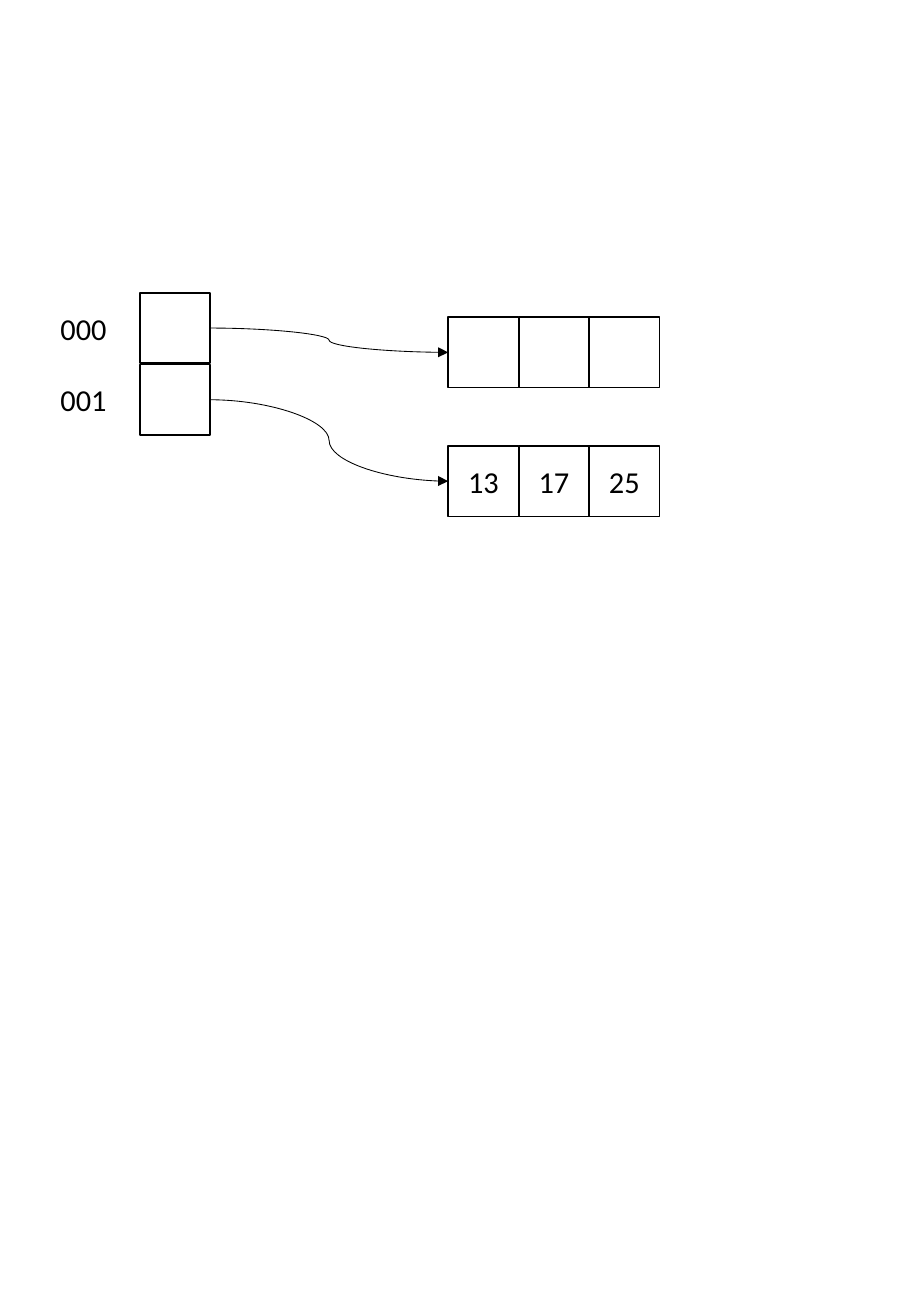
import pptx
import pptx.util
import pptx.dml.color
import pptx.enum.shapes
import pptx.enum.text
import pptx.oxml
import pptx.oxml.ns

DIRECTORY = [
    {"key": "000", "top": 241, "bucket_top": 261, "values": ["", "", ""]},
    {"key": "001", "top": 300, "bucket_top": 367, "values": ["13", "17", "25"]},
]
PAGE_W, PAGE_H = 750, 1083
CELL = 58
DIRECTORY_LEFT, BUCKET_LEFT = 115, 369
LABEL_LEFT, LABEL_W, LABEL_H = 40, 66, 40
BLACK = "000000"
FONT = {"name": "Calibri", "size": pptx.util.Pt(18)}
CENTER = pptx.enum.text.PP_ALIGN.CENTER
LABEL_FRAME = {"word_wrap": True,
               "auto_size": pptx.enum.text.MSO_AUTO_SIZE.SHAPE_TO_FIT_TEXT}
CELL_FRAME = {"word_wrap": True,
              "vertical_anchor": pptx.enum.text.MSO_ANCHOR.MIDDLE}


def px(n):
    return pptx.util.Emu(n * 9144)


def rgb(color):
    return pptx.dml.color.RGBColor.from_string(color)


def apply(target, values):
    for name, value in values.items():
        setattr(target, name, value)


def write(sp, text, frame, align=None):
    tf = sp.text_frame
    apply(tf, frame)
    p = tf.paragraphs[0]
    p.alignment = align
    r = p.add_run()
    r.text = text
    apply(r.font, FONT)
    r.font.color.rgb = rgb(BLACK)


def set_line(sp, width):
    sp.line.color.rgb = rgb(BLACK)
    sp.line.width = pptx.util.Pt(width)


def add_cell(s, left, top, text=""):
    sp = s.shapes.add_shape(pptx.enum.shapes.MSO_SHAPE.RECTANGLE,
                            px(left), px(top), px(CELL), px(CELL))
    sp.shadow.inherit = False
    sp.fill.background()
    set_line(sp, 1)
    if text:
        write(sp, text, CELL_FRAME, CENTER)
    return sp


def add_label(s, top, text):
    sp = s.shapes.add_textbox(px(LABEL_LEFT), px(top), px(LABEL_W), px(LABEL_H))
    write(sp, text, LABEL_FRAME)


def add_arrow(s, start, end):
    sp = s.shapes.add_connector(pptx.enum.shapes.MSO_CONNECTOR.CURVE, 0, 0, 0, 0)
    sp.begin_connect(start, 3)
    sp.end_connect(end, 1)
    set_line(sp, 0.5)
    tail = pptx.oxml.parse_xml(
        f'<a:tailEnd {pptx.oxml.ns.nsdecls("a")} type="triangle"/>')
    sp.line._get_or_add_ln().append(tail)
    effects = pptx.oxml.parse_xml(f'<a:effectLst {pptx.oxml.ns.nsdecls("a")}/>')
    sp._element.spPr.append(effects)


def main():
    prs = pptx.Presentation()
    apply(prs, {"slide_width": px(PAGE_W), "slide_height": px(PAGE_H)})
    s = prs.slides.add_slide(prs.slide_layouts[6])
    for entry in DIRECTORY:
        slot = add_cell(s, DIRECTORY_LEFT, entry["top"])
        add_label(s, entry["top"] + (CELL - LABEL_H) // 2, entry["key"])
        bucket = [add_cell(s, BUCKET_LEFT + i * CELL, entry["bucket_top"], value)
                  for i, value in enumerate(entry["values"])]
        add_arrow(s, slot, bucket[0])
    prs.save("out.pptx")


if __name__ == "__main__":
    main()
